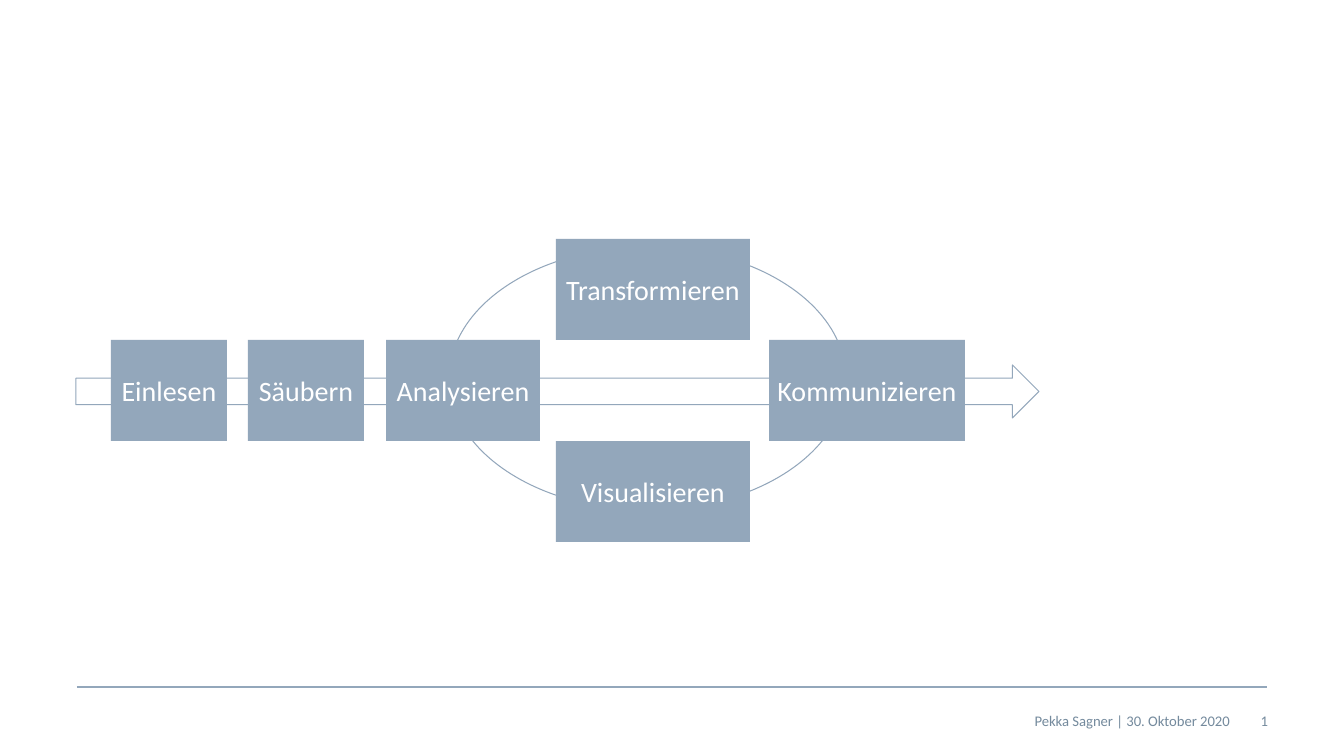
from pptx import Presentation
from pptx.dml.color import RGBColor
from pptx.enum.shapes import MSO_CONNECTOR, MSO_SHAPE
from pptx.enum.text import MSO_ANCHOR, PP_ALIGN
from pptx.oxml.ns import qn
from pptx.util import Emu, Pt
from lxml import etree

RECTANGLE, OVAL, ARROW = MSO_SHAPE.RECTANGLE, MSO_SHAPE.OVAL, MSO_SHAPE.RIGHT_ARROW
STRAIGHT = MSO_CONNECTOR.STRAIGHT
CENTER, RIGHT = PP_ALIGN.CENTER, PP_ALIGN.RIGHT
MIDDLE = MSO_ANCHOR.MIDDLE

PX_PER_INCH = 100.8
FONT = "Calibri"
COLORS = {"steel": "93A7BB", "footer": "748A9D", "white": "FFFFFF"}

STEP_HEIGHT = 101
MAIN_TOP = 340
STEPS = [  # label, left, width, rows away from the main row
    ("Einlesen", 111, 116, 0),
    ("Säubern", 248, 116, 0),
    ("Analysieren", 386, 154, 0),
    ("Transformieren", 556, 194, -1),
    ("Visualisieren", 556, 194, 1),
    ("Kommunizieren", 769, 196, 0),
]


def px(length):
    return Emu(round(length * 914400 / PX_PER_INCH))


def color(name):
    return RGBColor.from_string(COLORS[name])


def write(box, text, size, ink, align, inset=0, wrap=True):
    frame = box.text_frame
    frame.word_wrap = wrap
    frame.vertical_anchor = MIDDLE
    frame.margin_left = frame.margin_right = px(inset)
    frame.margin_top = frame.margin_bottom = px(inset)
    para = frame.paragraphs[0]
    para.alignment = align
    span = para.add_run()
    span.text = text
    span.font.name = FONT
    span.font.size = Pt(size)
    span.font.color.rgb = color(ink)


class Page:
    def __init__(self, deck):
        self.shapes = deck.slides.add_slide(deck.slide_layouts[6]).shapes

    def rule(self, left, right, top):
        line = self.shapes.add_connector(STRAIGHT, px(left), px(top), px(right), px(top))
        line.line.color.rgb = color("steel")
        line.line.width = Pt(1)
        etree.SubElement(line._element.spPr, qn("a:effectLst"))

    def label(self, text, *bounds):
        box = self.shapes.add_textbox(*map(px, bounds))
        write(box, text, 10.5, "footer", RIGHT)

    def outline(self, kind, *bounds):
        shape = self.shapes.add_shape(kind, *map(px, bounds))
        shape.shadow.inherit = False
        shape.fill.background()
        shape.line.color.rgb = color("steel")
        shape.line.width = Pt(0.75)

    def step(self, text, *bounds):
        box = self.shapes.add_shape(RECTANGLE, *map(px, bounds))
        box.shadow.inherit = False
        box.fill.solid()
        box.fill.fore_color.rgb = color("steel")
        box.line.fill.background()
        write(box, text, 20, "white", CENTER, inset=8, wrap=False)


def main():
    deck = Presentation()
    deck.slide_width, deck.slide_height = px(1344), px(756)
    page = Page(deck)
    page.rule(77, 1267, 687)
    page.label("1", 1230, 701, 38, 40)
    page.label("Pekka Sagner | 30. Oktober 2020", 609, 701, 621, 40)
    page.outline(ARROW, 76, 365, 963, 53)
    page.outline(OVAL, 449, 247, 397, 263)
    for text, left, width, row in STEPS:
        page.step(text, left, MAIN_TOP + row * STEP_HEIGHT, width, STEP_HEIGHT)
    deck.save("out.pptx")


if __name__ == "__main__":
    main()
